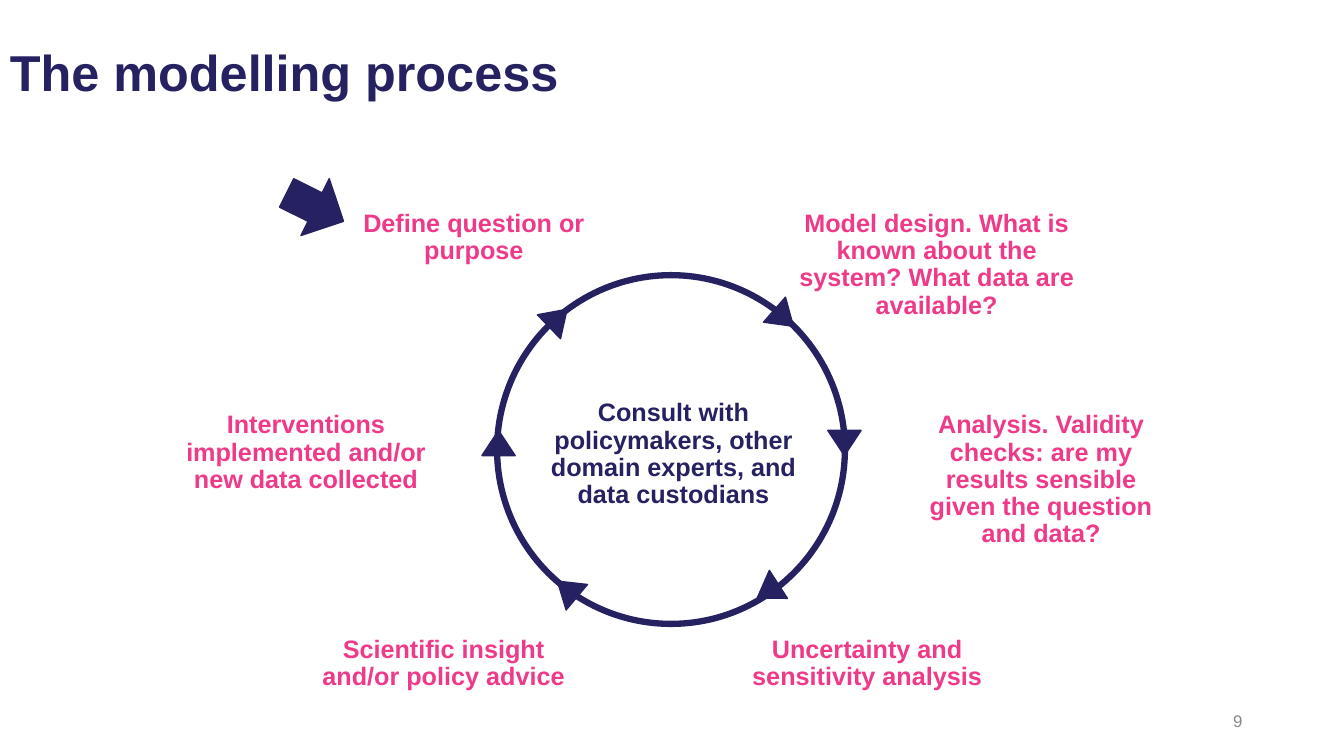
from pptx import Presentation
from pptx.dml.color import RGBColor
from pptx.enum.shapes import MSO_SHAPE
from pptx.enum.text import MSO_ANCHOR, PP_ALIGN
from pptx.util import Inches, Pt

OVAL = MSO_SHAPE.OVAL
HEAD = MSO_SHAPE.ISOSCELES_TRIANGLE
ARROW = MSO_SHAPE.RIGHT_ARROW
LEFT, MID, RIGHT = PP_ALIGN.LEFT, PP_ALIGN.CENTER, PP_ALIGN.RIGHT
TOP, MIDDLE = MSO_ANCHOR.TOP, MSO_ANCHOR.MIDDLE

COLORS = {"navy": "262261", "pink": "EE3A89", "gray": "888888"}

TITLE = "The modelling process"
PAGE = "9"
CENTRE = "Consult with policymakers, other domain experts, and data custodians"

# text, left, top, width, height
STEPS = [
    ("Define question or purpose", 3.49, 2.04, 2.42, 0.58),
    ("Model design. What is known about the system? What data are available?",
     7.83, 2.04, 2.92, 1.45),
    ("Analysis. Validity checks: are my results sensible given the question and data?",
     9.03, 4.04, 2.59, 1.45),
    ("Uncertainty and sensitivity analysis", 7.24, 6.27, 2.72, 0.58),
    ("Scientific insight and/or policy advice", 2.9, 6.27, 3, 0.58),
    ("Interventions implemented and/or new data collected", 1.65, 4.04, 2.77, 0.9),
]

RING = (4.93, 2.73, 3.45, 3.46)
START = (2.81, 1.74, 0.63, 0.63)
HEAD_W, HEAD_H = 0.33, 0.25
# left, top, rotation
HEADS = [
    (5.37, 3.03, 46),
    (7.61, 3.03, 131.3),
    (8.21, 4.27, 180),
    (7.45, 5.74, 237.2),
    (5.46, 5.72, 309.8),
    (4.78, 4.27, 0),
]

deck = Presentation()
deck.slide_width, deck.slide_height = Inches(13.33), Inches(7.5)
slide = deck.slides.add_slide(deck.slide_layouts[6])


def color(name):
    return RGBColor.from_string(COLORS[name])


def add_text(text, box, size=18, tint="pink", align=MID, anchor=TOP,
             bold=True, space=0.9):
    frame = slide.shapes.add_textbox(*map(Inches, box)).text_frame
    frame.word_wrap = True
    frame.vertical_anchor = anchor
    frame.text = text
    para = frame.paragraphs[0]
    para.alignment, para.line_spacing = align, space
    font = para.runs[0].font
    font.name, font.size, font.bold = "Arial", Pt(size), bold
    font.color.rgb = color(tint)


def add_shape(kind, box, turn=0, line=1, solid=True):
    shape = slide.shapes.add_shape(kind, *map(Inches, box))
    shape.shadow.inherit = False
    shape.rotation = turn
    if solid:
        shape.fill.solid()
        shape.fill.fore_color.rgb = color("navy")
    else:
        shape.fill.background()
    shape.line.color.rgb = color("navy")
    shape.line.width = Pt(line)


add_text(TITLE, (0, 0.02, 11.91, 1.45), 36, "navy", LEFT, MIDDLE)
add_shape(OVAL, RING, line=4.5, solid=False)
for text, *box in STEPS:
    add_text(text, box)
add_text(CENTRE, (5.18, 3.92, 3, 1.16), tint="navy")
for left, top, turn in HEADS:
    add_shape(HEAD, (left, top, HEAD_W, HEAD_H), turn)
add_text(PAGE, (9.42, 6.95, 3, 0.4), 12, "gray", RIGHT, MIDDLE, False, 1.0)
add_shape(ARROW, START, 26.5)

deck.save("out.pptx")
